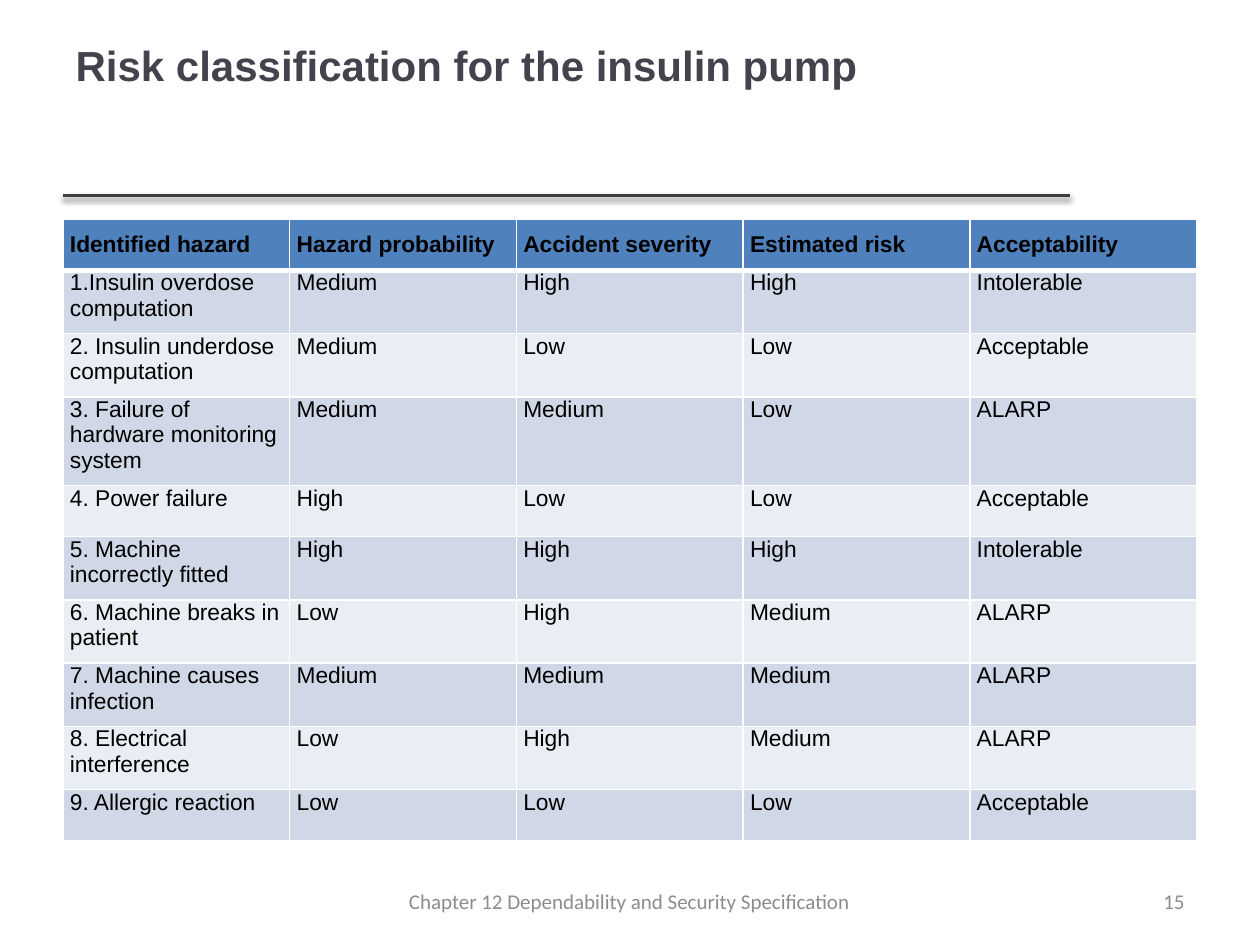
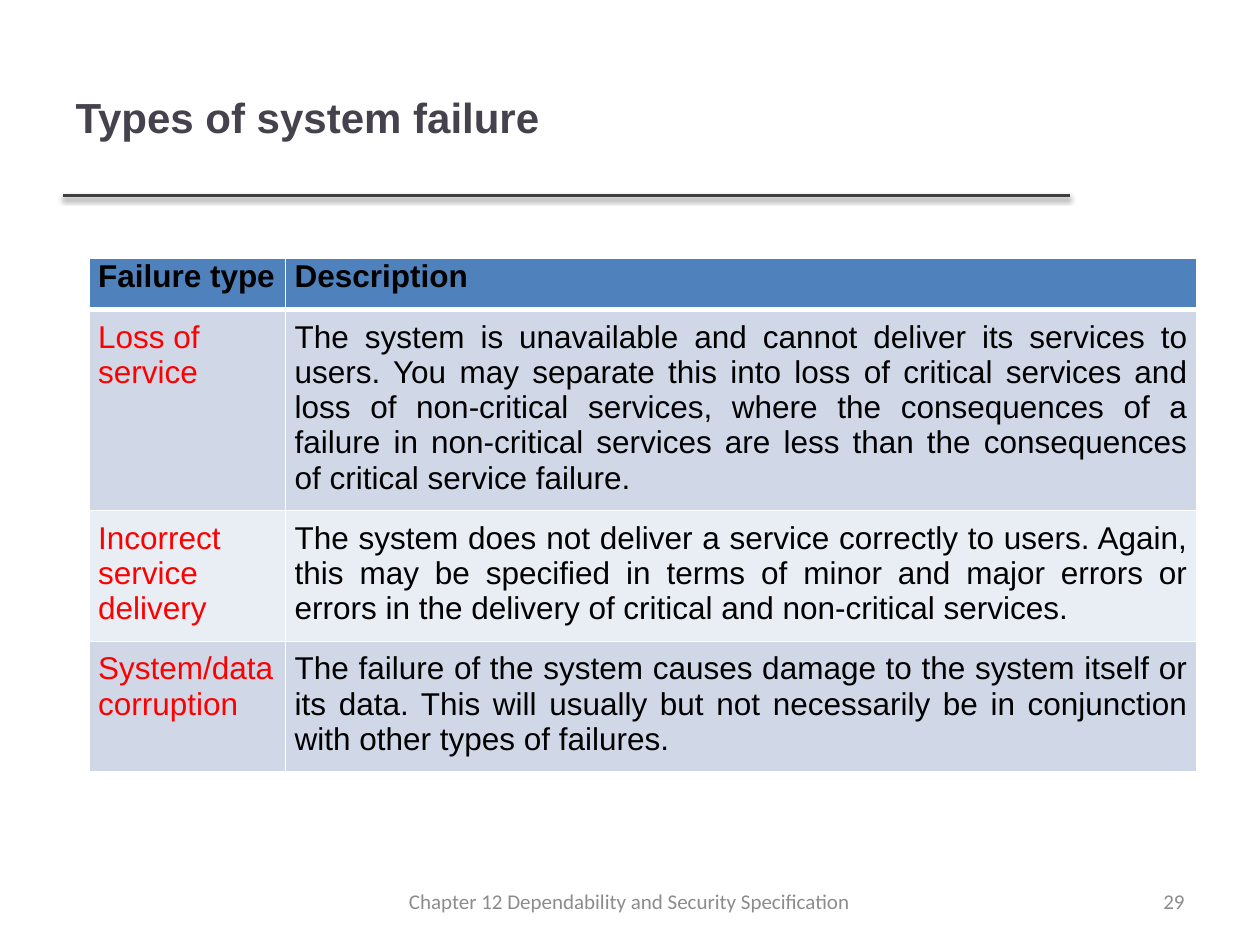
from lxml import etree
from pptx import Presentation
from pptx.dml.color import RGBColor
from pptx.enum.shapes import MSO_CONNECTOR
from pptx.enum.text import MSO_ANCHOR, MSO_AUTO_SIZE, PP_ALIGN
from pptx.oxml import parse_xml
from pptx.oxml.ns import nsdecls, qn
from pptx.util import Cm, Pt

# Shared look
COLORS = {
    "title": "46424D", "rule": "404040", "footer": "8C8C8C", "text": "000000",
    "failure": "FF0000", "header": "4F81BD", "band": "D0D8E8",
    "band_light": "E9EDF4", "border": "FFFFFF", "shadow": "000000",
}
FONT, FOOTER_FONT = "Arial", "Calibri"
FOOTER = "Chapter 12 Dependability and Security Specification"
MARGIN = 1.27

# Content: lengths in cm, insets as left/right, top, bottom
SLIDES = [
    {
        "title": "Risk classification for the insulin pump",
        "title_top": -0.28, "title_width": 22.86, "number": 15,
        "left": MARGIN, "top": 4.42, "columns": [4.57] * 5, "size": 13,
        "header_insets": (0.14, 0.25, 0.25), "insets": (0.14, 0, 0.25),
        "first_column": "text",
        "rows": [
            ("Identified hazard", "Hazard probability", "Accident severity",
             "Estimated risk", "Acceptability"),
            ("1.Insulin overdose computation", "Medium", "High", "High", "Intolerable"),
            ("2. Insulin underdose computation", "Medium", "Low", "Low", "Acceptable"),
            ("3. Failure of hardware monitoring system", "Medium", "Medium", "Low", "ALARP"),
            ("4. Power failure", "High", "Low", "Low", "Acceptable"),
            ("5. Machine incorrectly fitted", "High", "High", "High", "Intolerable"),
            ("6. Machine breaks in patient", "Low", "High", "Medium", "ALARP"),
            ("7. Machine causes infection", "Medium", "Medium", "Medium", "ALARP"),
            ("8. Electrical interference", "Low", "High", "Medium", "ALARP"),
            ("9. Allergic reaction", "Low", "Low", "Low", "Acceptable"),
        ],
    },
    {
        "title": "Types of system failure",
        "title_top": 0.76, "title_width": 20.27, "number": 29,
        "left": 1.8, "top": 5.21, "columns": [3.96, 18.36], "size": 18,
        "header_insets": (0.18, 0, 0), "insets": (0.18, 0.2, 0.3),
        "first_column": "failure",
        "rows": [
            ("Failure type", "Description"),
            ("Loss of service",
             "The system is unavailable and cannot deliver its services to users. "
             "You may separate this into loss of critical services and loss of "
             "non-critical services, where the consequences of a failure in "
             "non-critical services are less than the consequences of critical "
             "service failure."),
            ("Incorrect service delivery",
             "The system does not deliver a service correctly to users. Again, this "
             "may be specified in terms of minor and major errors or errors in the "
             "delivery of critical and non-critical services."),
            ("System/data corruption",
             "The failure of the system causes damage to the system itself or its "
             "data. This will usually but not necessarily be in conjunction with "
             "other types of failures."),
        ],
    },
]
ROW_HEIGHT = 1.03


def rgb(name):
    return RGBColor.from_string(COLORS[name])


def style(p, size, color, font=FONT, bold=False, align=PP_ALIGN.LEFT):
    p.alignment = align
    p.font.name, p.font.size, p.font.bold = font, Pt(size), bold
    p.font.color.rgb = rgb(color)


def place(sp, left, top, width, height):
    sp.left, sp.top, sp.width, sp.height = map(Cm, (left, top, width, height))


def add_title(slide, text, top, width):
    sp = slide.shapes.title
    place(sp, MARGIN, top, width, 3.18)
    tf = sp.text_frame
    tf.text = text
    tf.word_wrap, tf.auto_size = True, MSO_AUTO_SIZE.NONE
    tf.vertical_anchor = MSO_ANCHOR.MIDDLE
    style(tf.paragraphs[0], 24, "title", bold=True)


def add_rule(slide):
    y = Cm(3.94)
    line = slide.shapes.add_connector(
        MSO_CONNECTOR.STRAIGHT, Cm(MARGIN), y, Cm(21.56), y)
    line.line.color.rgb, line.line.width = rgb("rule"), Pt(2)
    line._element.spPr.append(parse_xml(
        f'<a:effectLst {nsdecls("a")}><a:outerShdw blurRad="{Pt(3.1)}" '
        f'dist="{Pt(1.6)}" dir="5400000" rotWithShape="0">'
        f'<a:srgbClr val="{COLORS["shadow"]}"><a:alpha val="38000"/></a:srgbClr>'
        '</a:outerShdw></a:effectLst>'))


def add_footer(slide, text, left, width, align):
    sp = slide.shapes.add_textbox(Cm(left), Cm(17.65), Cm(width), Cm(1.02))
    tf = sp.text_frame
    tf.word_wrap, tf.vertical_anchor = True, MSO_ANCHOR.MIDDLE
    tf.text = text
    style(tf.paragraphs[0], 12, "footer", FOOTER_FONT, align=align)


def add_borders(cell, top, bottom):
    tcPr = cell._tc.get_or_add_tcPr()
    widths = {"lnL": 1, "lnR": 1, "lnT": top, "lnB": bottom}
    for i, (tag, width) in enumerate(widths.items()):
        ln = etree.Element(qn(f"a:{tag}"), w=str(Pt(width)))
        fill = etree.SubElement(ln, qn("a:solidFill"))
        etree.SubElement(fill, qn("a:srgbClr"), val=COLORS["border"])
        tcPr.insert(i, ln)


def add_table(slide, data):
    rows, columns = data["rows"], data["columns"]
    table = slide.shapes.add_table(
        len(rows), len(columns), Cm(data["left"]), Cm(data["top"]),
        Cm(sum(columns)), Cm(ROW_HEIGHT * len(rows))).table
    table.horz_banding = False
    for column, width in zip(table.columns, columns):
        column.width = Cm(width)
    for r, row in enumerate(rows):
        table.rows[r].height = Cm(ROW_HEIGHT)
        header = r == 0
        fill = "header" if header else ("band_light", "band")[r % 2]
        side, top, bottom = data["header_insets" if header else "insets"]
        for c, text in enumerate(row):
            cell = table.cell(r, c)
            cell.text = text
            cell.margin_left = cell.margin_right = Cm(side)
            cell.margin_top, cell.margin_bottom = Cm(top), Cm(bottom)
            cell.fill.solid()
            cell.fill.fore_color.rgb = rgb(fill)
            # The header is set off from the body by a thicker border
            add_borders(cell, 3 if r == 1 else 1, 3 if header else 1)
            label = c == 0 and not header
            style(cell.text_frame.paragraphs[0], data["size"],
                  data["first_column"] if label else "text", bold=header,
                  align=PP_ALIGN.LEFT if label else PP_ALIGN.JUSTIFY)


def main():
    prs = Presentation()
    prs.slide_width, prs.slide_height = Cm(25.4), Cm(19.05)
    for data in SLIDES:
        slide = prs.slides.add_slide(prs.slide_layouts[5])
        add_rule(slide)
        add_title(slide, data["title"], data["title_top"], data["title_width"])
        add_table(slide, data)
        add_footer(slide, str(data["number"]), 18.21, 5.92, PP_ALIGN.RIGHT)
        add_footer(slide, FOOTER, 7.19, 11, PP_ALIGN.CENTER)
    prs.save("out.pptx")


if __name__ == "__main__":
    main()
